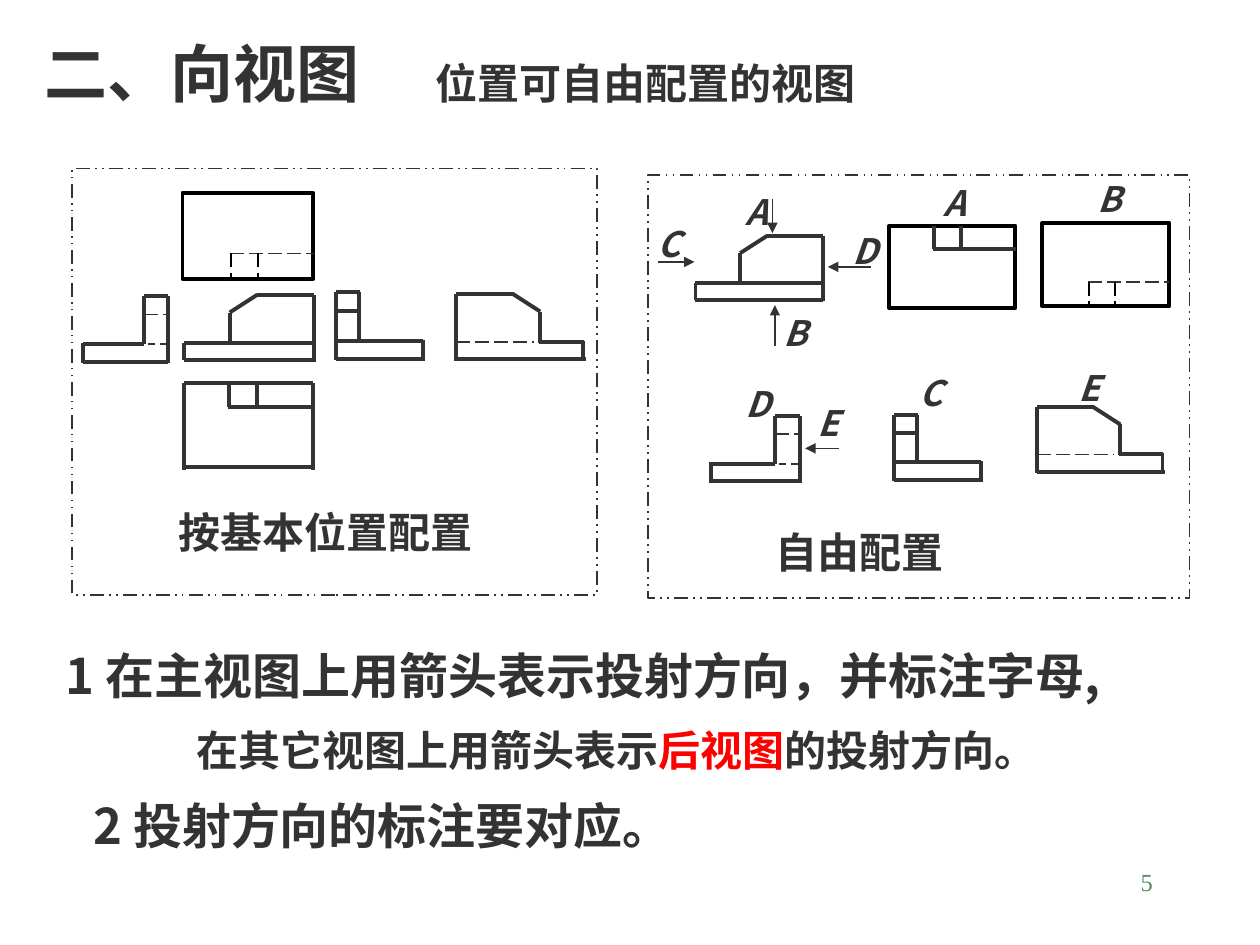
from lxml.etree import SubElement
from pptx import Presentation
from pptx.dml.color import RGBColor
from pptx.enum.dml import MSO_LINE
from pptx.enum.shapes import MSO_CONNECTOR, MSO_SHAPE
from pptx.enum.text import MSO_ANCHOR, PP_ALIGN
from pptx.oxml.ns import qn
from pptx.util import Cm, Pt

COLORS = {"ink": "333333", "black": "000000", "accent": "FF0000", "page": "578963"}
SERIF, SANS = "Times New Roman", "Noto Sans CJK SC"

# Line styles: colour, width in points, dash
STYLES = {
    "edge": ("ink", 2.25, None),
    "box": ("black", 2.25, None),
    "hidden": ("ink", 1, MSO_LINE.LONG_DASH),
    "hidden black": ("black", 1, MSO_LINE.LONG_DASH),
    "hidden short": ("ink", 1, MSO_LINE.DASH),
    "frame": ("ink", 1, MSO_LINE.DASH_DOT_DOT),
    "arrow": ("ink", 1, None),
    "thin arrow": ("ink", 0.75, None),
}

# Each view of the part: lines by style, in cm from its top left corner
NOTCH = [(0.89, 0.48, 2.6, 0.48), (0.91, 0, 0.91, 0.48), (1.47, 0, 1.47, 0.48)]
VIEWS = {
    "front": {"edge": [
        (0, 1.32, 2.62, 1.32), (0, 0.97, 0, 1.32), (0, 0.97, 2.62, 0.97),
        (2.62, 0, 2.62, 1.35), (0.92, 0.36, 0.92, 0.97),
        (1.48, 0, 2.62, 0), (0.92, 0.36, 1.48, 0)]},
    "rear": {"edge": [
        (0, 1.32, 2.62, 1.32), (2.56, 0.95, 2.56, 1.35), (0, 0, 0, 1.35),
        (1.7, 0.36, 1.7, 0.99), (0, 0, 1.17, 0), (1.7, 0.36, 1.14, 0),
        (1.68, 0.97, 2.58, 0.97)],
        "hidden": [(0, 0.97, 1.57, 0.97)]},
    "left": {"edge": [
        (0, 1.35, 1.78, 1.35), (0, 0.99, 1.75, 0.99), (1.75, 0.97, 1.75, 1.37),
        (0, 0, 0, 1.37), (0, 0, 0.48, 0), (0.46, 0, 0.46, 0.99),
        (0, 0.38, 0.48, 0.38)]},
    "right": {"edge": [
        (0, 0.94, 0, 1.35), (0, 1.32, 1.7, 1.32), (0, 0.97, 1.22, 0.97),
        (1.7, 0, 1.7, 1.35), (1.22, 0, 1.7, 0), (1.22, 0, 1.22, 0.97)],
        "hidden": [(1.22, 0.37, 1.7, 0.37)],
        "hidden short": [(1.3, 0.97, 1.7, 0.97)]},
    "top": {"edge": NOTCH + [
        (0, 0, 2.6, 0), (2.6, 0, 2.6, 1.75), (0, 1.7, 2.62, 1.7), (0, 0, 0, 1.75)]},
    "boxed top": {"edge": NOTCH},
    "bottom": {
        "hidden": [(0.95, 1.22, 2.64, 1.22)],
        "hidden black": [(0.97, 1.22, 0.97, 1.75), (1.52, 1.22, 1.52, 1.73)]},
}
OUTLINES = {"boxed top": (2.59, 1.7), "bottom": (2.64, 1.73)}

# Panels; a view is: name, left, top, horizontal scale, vertical scale
PANELS = [
    {"frame": (1.45, 3.4, 10.59, 8.59),
     "caption": ("按基本位置配置", (3.35, 10.08, 6.48, 1.27)),
     "views": [("bottom", 3.68, 3.89, 1, 1), ("right", 1.68, 5.97, 1, 1),
               ("front", 3.71, 5.94, 1, 1), ("left", 6.78, 5.89, 1, 1),
               ("rear", 9.19, 5.92, 1, 1), ("top", 3.71, 7.72, 1, 1)],
     "letters": [], "arrows": []},
    {"frame": (13.06, 3.53, 10.92, 8.53),
     "caption": ("自由配置", (15.39, 10.49, 3.91, 1.27)),
     "views": [("front", 14.02, 4.75, 0.98, 0.98), ("boxed top", 17.93, 4.55, 0.98, 0.98),
               ("bottom", 21.01, 4.5, 0.97, 0.97), ("right", 14.33, 8.38, 1.06, 1),
               ("left", 18.03, 8.36, 1, 0.97), ("rear", 20.9, 8.2, 0.99, 0.99)],
     # letter, centre, top
     "letters": [("A", 15.21, 3.71), ("A", 19.2, 3.53), ("B", 22.3, 3.45),
                 ("C", 13.44, 4.37), ("D", 17.37, 4.5), ("B", 15.98, 6.15),
                 ("D", 15.21, 7.59), ("E", 16.66, 7.98), ("C", 18.72, 7.37),
                 ("E", 21.92, 7.26)],
     "arrows": [("thin arrow", (15.57, 4.01, 15.57, 4.7)),
                ("thin arrow", (13.26, 5.28, 14, 5.28)),
                ("arrow", (15.62, 6.98, 15.62, 6.15)),
                ("arrow", (17.55, 5.38, 16.69, 5.38)),
                ("thin arrow", (16.92, 9.04, 16.23, 9.04))]},
]

# Text lines: box, size, font, runs with colours, left margin
SENTENCES = [
    ((0.64, 0.56, 7.75, 1.78), 36, SERIF, [("二、向视图", "ink")], 0.25),
    ((8.53, 1.04, 13.39, 1.27), 24, SERIF, [("位置可自由配置的视图", "ink")], 0.25),
    ((0.61, 12.88, 23.98, 1.45), 28, SANS,
     [("1 在主视图上用箭头表示投射方向，并标注字母,", "ink")], 0.72),
    ((3.71, 14.48, 17.6, 1.27), 24, SANS,
     [("在其它视图上用箭头表示", "ink"), ("后视图", "accent"), ("的投射方向。", "ink")], 0.25),
    ((1.63, 15.9, 19, 1.45), 28, SANS, [("2 投射方向的标注要对应。", "ink")], 0.25),
]
LETTER_SIZE = (0.86, 1.09)


def color(name):
    return RGBColor.from_string(COLORS[name])


def apply_style(line, style):
    ink, width, dash = STYLES[style]
    line.color.rgb = color(ink)
    line.width = Pt(width)
    if dash:
        line.dash_style = dash


def add_text(shapes, box, size, font, runs, margin=0.25, wrap=True, bold=True,
             italic=False, align=PP_ALIGN.LEFT, anchor=MSO_ANCHOR.MIDDLE):
    frame = shapes.add_textbox(*map(Cm, box)).text_frame
    frame.word_wrap = wrap
    frame.vertical_anchor = anchor
    frame.margin_left = Cm(margin)
    paragraph = frame.paragraphs[0]
    paragraph.alignment = align
    for words, ink in runs:
        run = paragraph.add_run()
        run.text = words
        run.font.size, run.font.name = Pt(size), font
        run.font.bold, run.font.italic = bold, italic
        run.font.color.rgb = color(ink)
        SubElement(run.font._element, qn("a:ea")).set("typeface", SANS)


def add_rect(shapes, box, style):
    rect = shapes.add_shape(MSO_SHAPE.RECTANGLE, *map(Cm, box))
    rect.shadow.inherit = False
    rect.fill.background()
    apply_style(rect.line, style)


def add_line(shapes, ends, style, arrow=False):
    line = shapes.add_connector(MSO_CONNECTOR.STRAIGHT, *map(Cm, ends))
    apply_style(line.line, style)
    properties = line._element.spPr
    if arrow:
        SubElement(properties.find(qn("a:ln")), qn("a:tailEnd")).set("type", "triangle")
    SubElement(properties, qn("a:effectLst"))


def add_view(shapes, name, left, top, across, down):
    if name in OUTLINES:
        width, height = OUTLINES[name]
        add_rect(shapes, (left, top, width * across, height * down), "box")
    for style, lines in VIEWS[name].items():
        for x1, y1, x2, y2 in lines:
            add_line(shapes, (left + x1 * across, top + y1 * down,
                              left + x2 * across, top + y2 * down), style)


def add_panel(slide, panel):
    shapes = slide.shapes.add_group_shape().shapes
    add_rect(shapes, panel["frame"], "frame")
    for view in panel["views"]:
        add_view(shapes, *view)
    for style, ends in panel["arrows"]:
        add_line(shapes, ends, style, arrow=True)
    width, height = LETTER_SIZE
    for letter, centre, top in panel["letters"]:
        add_text(shapes, (centre - width / 2, top, width, height), 20, SANS,
                 [(letter, "ink")], wrap=False, italic=True, align=PP_ALIGN.CENTER)
    caption, box = panel["caption"]
    add_text(shapes, box, 24, SERIF, [(caption, "ink")], wrap=False)


def main():
    deck = Presentation()
    deck.slide_width, deck.slide_height = Cm(25.4), Cm(19.05)
    slide = deck.slides.add_slide(deck.slide_layouts[6])
    for panel in PANELS:
        add_panel(slide, panel)
    for sentence in SENTENCES:
        add_text(slide.shapes, *sentence)
    # Page number
    add_text(slide.shapes, (18.21, 17.35, 5.28, 1.27), 14, SERIF, [("5", "page")],
             bold=False, align=PP_ALIGN.RIGHT, anchor=MSO_ANCHOR.TOP)
    deck.save("out.pptx")


if __name__ == "__main__":
    main()
